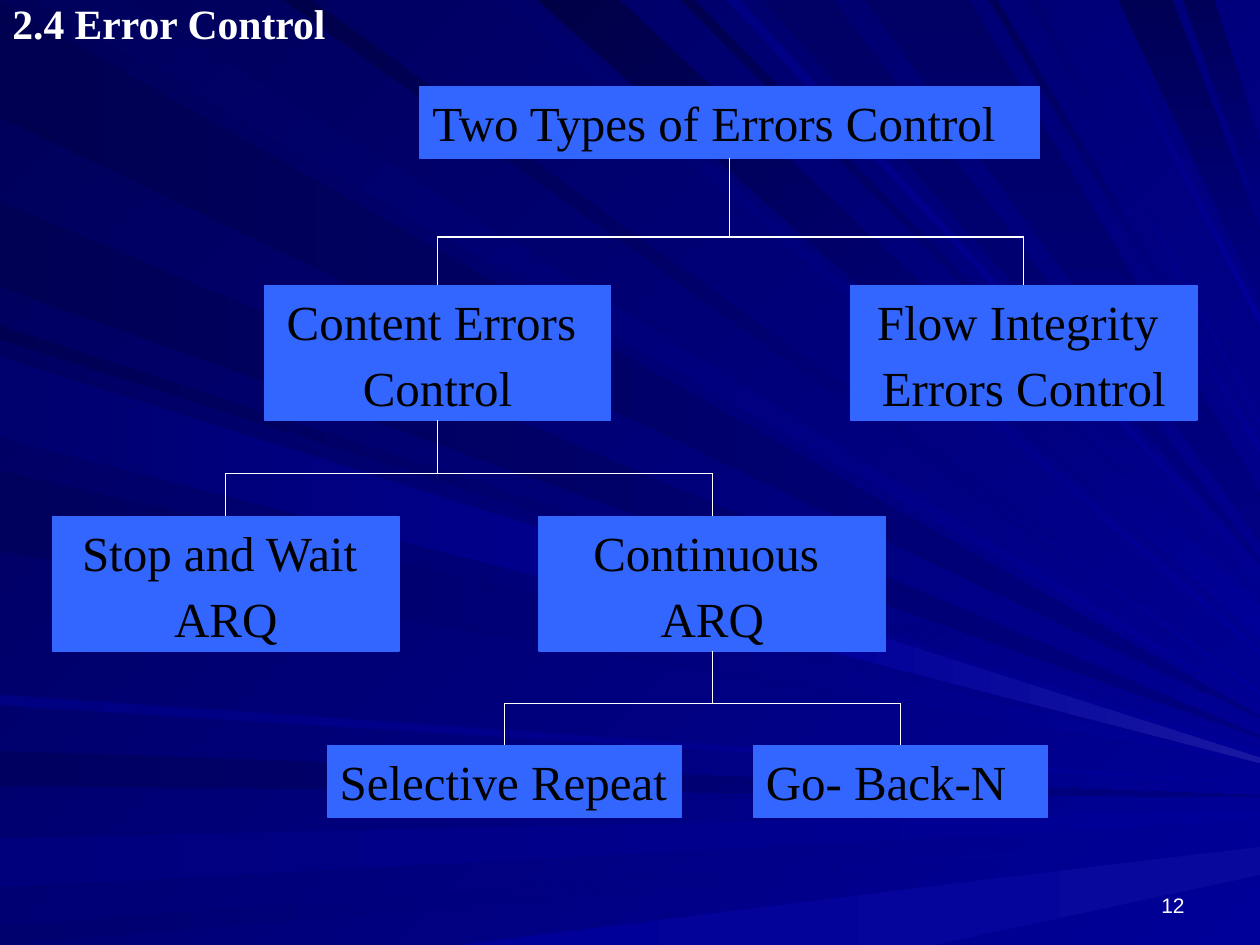
from lxml import etree
from pptx import Presentation
from pptx import util as u
from pptx.dml.color import RGBColor
from pptx.enum import shapes, text
from pptx.oxml.ns import qn

Pt = u.Pt
WIDTH, HEIGHT = 720, 540
SERIF = "Times New Roman"
WHITE, BLACK, BLUE = "FFFFFF", "000000", "3366FF"
NAVY, BRIGHT, GLINT = "000080", "000099", "1717A2"
TOP, BOTTOM = 0, 2

# Rays, back to front: edge, start and end on it, height at the right edge,
# first colour, last colour, and breadth at the right edge if not a point
RAYS = [
    ("left", 1, 67, 410, "000051", NAVY),
    ("top", 19, 73, 405, "00005D", BRIGHT),
    ("left", 429, 449, 455, "000061", NAVY),
    ("left", 479, 507, 466, "00007D", BRIGHT, 6),
    ("left", 529, 540, 477, "00006F", BRIGHT),
    ("left", 186, 194, 424, "000053", BRIGHT),
    ("left", 115, 164, 421, "000055", NAVY),
    ("top", 287, 300, 373, "00006B", BRIGHT, 4),
    ("top", 307, 354, 355, "000047", BRIGHT, 20),
    ("top", 389, 397, 333, "00004F", BRIGHT),
    ("top", 436, 476, 321, "000065", NAVY),
    ("top", 639, 670, 151, "000055", NAVY, 39),
    ("top", 676, 694, 101, "000059", NAVY, 38),
    ("left", 200, 246, 431, "000061", BRIGHT, 4),
    ("left", 269, 315, 436, "00005D", BRIGHT),
    ("left", 397, 403, 448, "000082", BRIGHT),
    ("top", 162, 178, 396, "00004A", BRIGHT, 4),
    ("top", 415, 423, 327, "000082", BRIGHT),
    ("top", 494, 554, 295, "000065", NAVY, 27),
    ("top", 565, 570, 257, "000058", BRIGHT, 4),
    ("top", 587, 593, 241, "00006F", BRIGHT),
    ("top", 623, 628, 183, "000079", BRIGHT, 6),
]
BEAM_UPPER, BEAM_LOWER = (457, 349), (457, 368)

# Tree boxes: left, top, width, lines of text
BOXES = {
    "types": (240, 49.5, 354, ["Two Types of Errors Control"]),
    "content": (151, 163, 198, ["Content Errors ", "Control"]),
    "flow": (486, 163, 198, ["Flow Integrity ", "Errors Control"]),
    "stop": (30, 295, 198, ["Stop and Wait ", "ARQ"]),
    "continuous": (308, 295, 198, ["Continuous ", "ARQ"]),
    "selective": (187, 426, 202.5, ["Selective Repeat"]),
    "go_back": (430.5, 426, 168, ["Go- Back-N"]),
}
# Parent, children, height of the horizontal bar
BRANCHES = [
    ("types", ("content", "flow"), 135.5),
    ("content", ("stop", "continuous"), 270.5),
    ("continuous", ("selective", "go_back"), 402),
]


def color(hex_string):
    return RGBColor.from_string(hex_string)


def paint(fill, first, last=None, angle=0):
    """Fill solid, or with a gradient whose angle runs clockwise."""
    if last is None:
        fill.solid()
        fill.fore_color.rgb = color(first)
        return
    fill.gradient()
    fill.gradient_angle = -angle % 360
    for stop, value in zip(fill.gradient_stops, (first, last)):
        stop.color.rgb = color(value)


def add_polygon(slide, corners, first, last=None, angle=0):
    points = [(Pt(x), Pt(y)) for x, y in corners]
    builder = slide.shapes.build_freeform(*points[0])
    builder.add_line_segments(points[1:], close=True)
    polygon = builder.convert_to_shape()
    polygon.shadow.inherit = False
    paint(polygon.fill, first, last, angle)
    polygon.line.fill.background()


def add_ray(slide, edge, start, end, tip, first, last, breadth=1):
    """Add a wedge from the left or top edge to the right edge."""
    upper, lower = (WIDTH, tip - breadth / 2), (WIDTH, tip + breadth / 2)
    if edge == "left":
        add_polygon(slide, [(0, start), upper, lower, (0, end)], first, last)
    else:
        angle = 90 if last == NAVY else 45
        add_polygon(slide, [(start, 0), (end, 0), upper, lower], first, last, angle)


def add_backdrop(slide):
    paint(slide.background.fill, "000058", BRIGHT, 45)
    add_polygon(slide, [(262, HEIGHT), (544, 505), (WIDTH, 484), (WIDTH, 500), (534, HEIGHT)],
                BRIGHT, "08089C")
    for ray in RAYS:
        add_ray(slide, *ray)
    add_polygon(slide, [(0, 204), BEAM_UPPER, BEAM_LOWER, (0, 250)], "00006F", BRIGHT)
    add_polygon(slide, [BEAM_UPPER, (WIDTH, 433), (WIDTH, 436), BEAM_LOWER], BRIGHT, GLINT)


def add_run(paragraph, words, size, hex_string, font=SERIF, bold=False):
    run = paragraph.add_run()
    run.text = words
    run.font.name = font
    run.font.size = Pt(size)
    run.font.bold = bold
    run.font.color.rgb = color(hex_string)


def add_label(slide, left, top, width, height):
    """Add a wrapping text box and return its text frame."""
    label = slide.shapes.add_textbox(Pt(left), Pt(top), Pt(width), Pt(height))
    label.text_frame.word_wrap = True
    return label.text_frame


def add_box(slide, left, top, width, lines):
    single = len(lines) == 1
    height = 41 if single else 77
    box = slide.shapes.add_shape(shapes.MSO_SHAPE.RECTANGLE, Pt(left), Pt(top), Pt(width), Pt(height))
    box.shadow.inherit = False
    paint(box.fill, BLUE)
    box.line.color.rgb = color(BLUE)
    box.line.width = Pt(0.75)
    frame = box.text_frame
    frame.word_wrap = True
    frame.vertical_anchor = text.MSO_ANCHOR.TOP
    if single:
        frame.margin_right = Pt(0)
    for index, words in enumerate(lines):
        paragraph = frame.add_paragraph() if index else frame.paragraphs[0]
        paragraph.alignment = text.PP_ALIGN.LEFT if single else text.PP_ALIGN.CENTER
        if index:
            paragraph.line_spacing = 0.55
            paragraph.space_before = Pt(17.5)
        add_run(paragraph, words, 28, BLACK)
    return box


def add_line(slide, x1, y1, x2, y2):
    line = slide.shapes.add_connector(shapes.MSO_CONNECTOR.STRAIGHT, x1, y1, x2, y2)
    line.line.color.rgb = color(WHITE)
    line.line.width = Pt(0.75)
    etree.SubElement(line.element.spPr, qn("a:effectLst"))
    return line


def center(box):
    return box.left + box.width // 2


def add_branch(slide, parent, children, bar):
    """Join a parent to its children through a horizontal bar."""
    x = center(parent)
    trunk = add_line(slide, x, parent.top + parent.height, x, bar)
    trunk.begin_connect(parent, BOTTOM)
    add_line(slide, center(children[0]), bar, center(children[-1]), bar)
    for child in children:
        drop = add_line(slide, center(child), bar, center(child), child.top)
        drop.end_connect(child, TOP)


def main():
    presentation = Presentation()
    presentation.slide_width, presentation.slide_height = Pt(WIDTH), Pt(HEIGHT)
    slide = presentation.slides.add_slide(presentation.slide_layouts[6])
    add_backdrop(slide)

    number = add_label(slide, 516, 492, 168, 36)
    number.vertical_anchor = text.MSO_ANCHOR.BOTTOM
    number.paragraphs[0].alignment = text.PP_ALIGN.RIGHT
    add_run(number.paragraphs[0], "12", 12, WHITE, "Arial")

    title = add_label(slide, 0, -1.5, 318, 36)
    title.paragraphs[0].line_spacing = 0.9
    add_run(title.paragraphs[0], "2.4 Error Control", 23.8, WHITE, bold=True)

    boxes = {name: add_box(slide, *box) for name, box in BOXES.items()}
    for parent, children, bar in BRANCHES:
        add_branch(slide, boxes[parent], [boxes[child] for child in children], Pt(bar))
    presentation.save("out.pptx")


if __name__ == "__main__":
    main()
